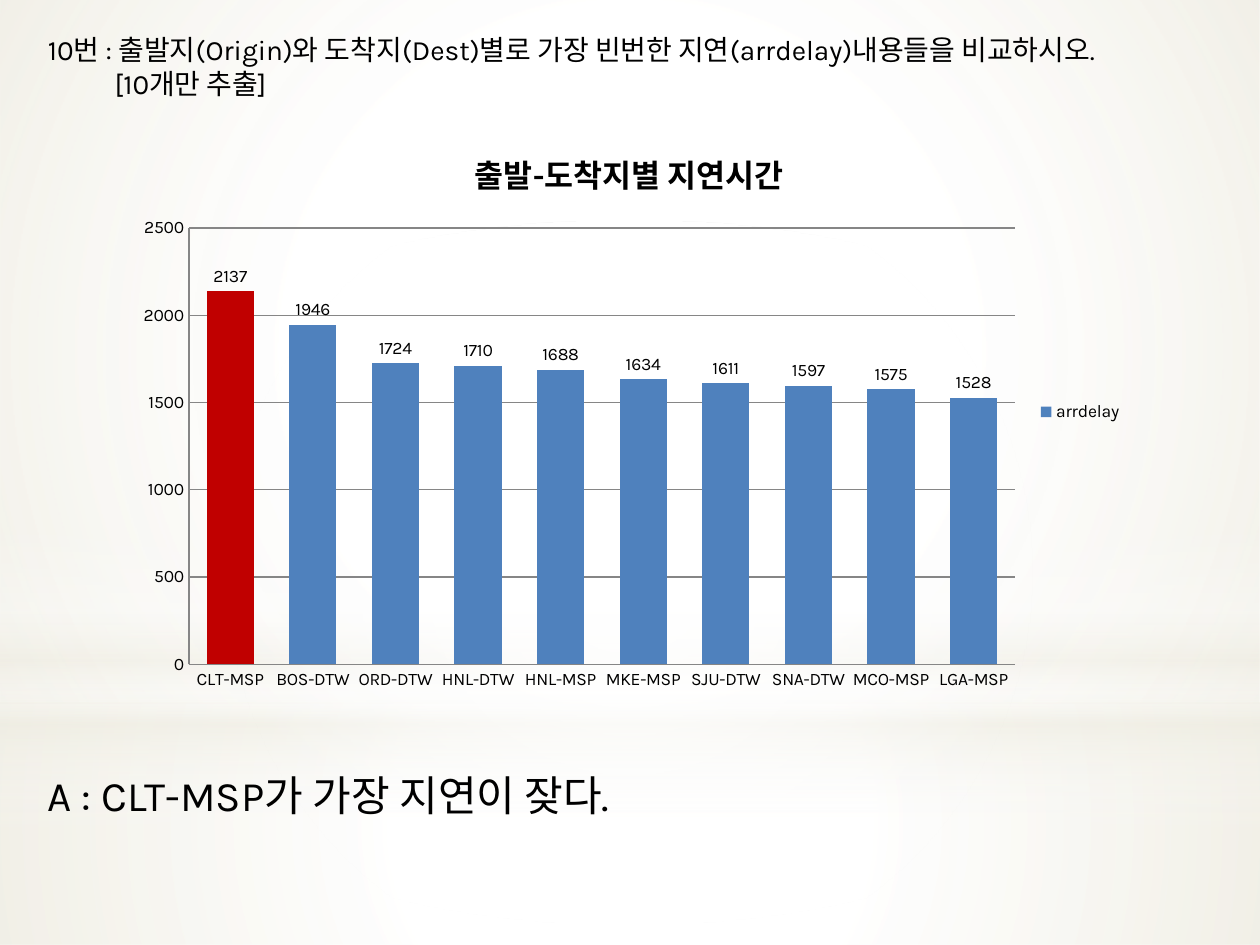
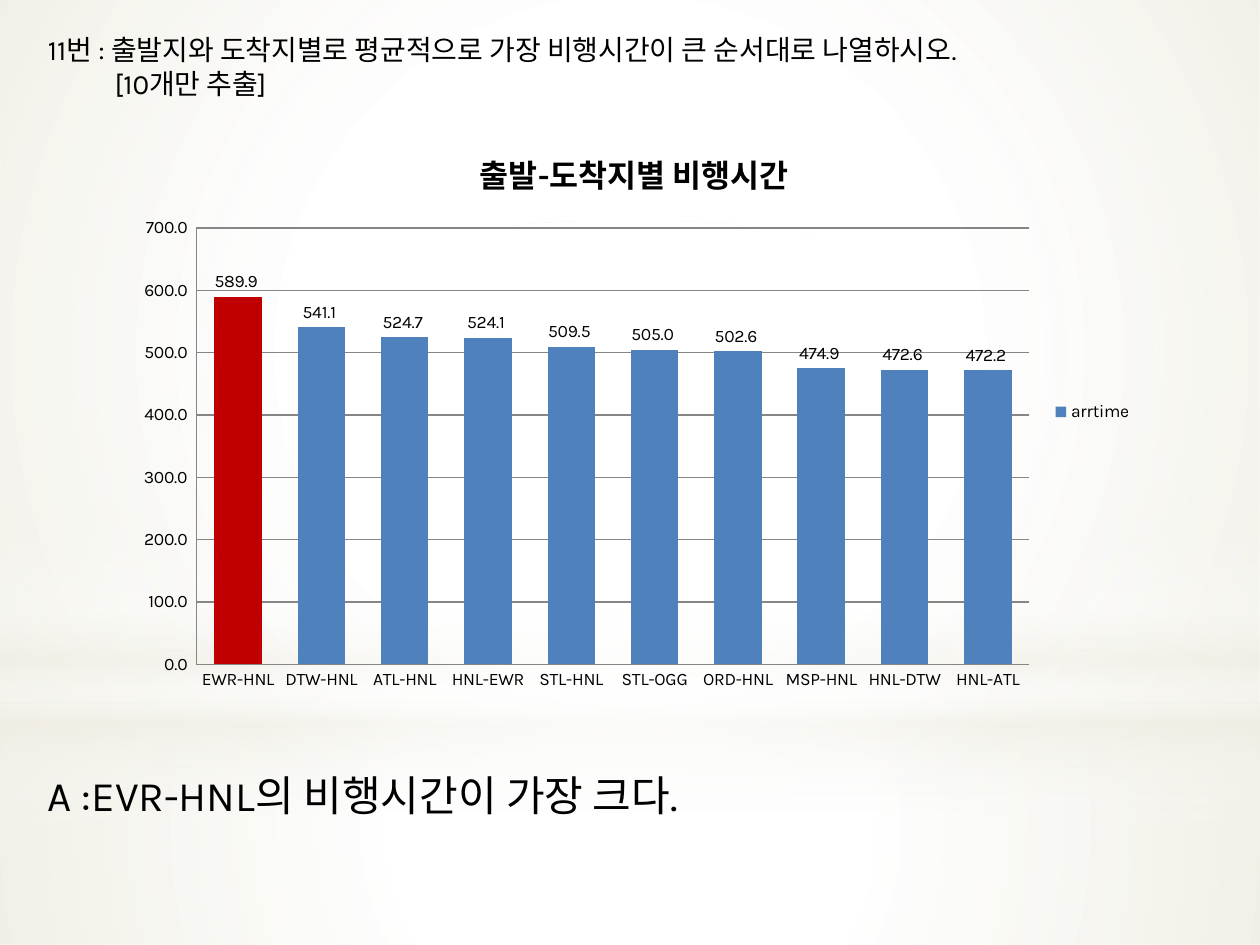
from pptx import Presentation
from pptx.chart.data import CategoryChartData
from pptx.dml.color import RGBColor
from pptx.enum.chart import XL_CHART_TYPE as ChartType
from pptx.enum.chart import XL_LABEL_POSITION as LabelPosition
from pptx.enum.chart import XL_LEGEND_POSITION as LegendPosition
from pptx.enum.chart import XL_TICK_MARK as TickMark
from pptx.enum.shapes import MSO_SHAPE as Preset
from pptx.enum.text import MSO_ANCHOR as Anchor
from pptx.enum.text import MSO_AUTO_SIZE as AutoSize
from pptx.enum.text import PP_ALIGN as Align
from pptx.oxml import parse_xml
from pptx.oxml.ns import nsdecls, qn
from pptx.util import Inches, Pt

COLORS = {
    "text": "000000",
    "white": "FFFFFF",
    "cream": "EEECE1",
    "bar": "4F81BD",
    "highlight": "C00000",
    "grid": "868686",
}
FONT = "Karla"
MARGIN = 0.28
CIRCLE = (
    '<a:path path="circle">'
    '<a:fillToRect l="50000" t="50000" r="50000" b="50000"/></a:path>'
)
DOWNWARD = '<a:lin ang="5400000" scaled="0"/>'
BACKDROP = [
    (Preset.RECTANGLE, (0, 5.58, 10, 1.92), CIRCLE,
     [(0, "white", 91), (37, "white", 76), (100, "cream", 79)]),
    (Preset.RECTANGLE, (0, 0, 10, 5.58), CIRCLE,
     [(0, "white", 89), (48, "white", 62), (100, "cream", 79)]),
    (Preset.RECTANGLE, (0, 4.12, 10, 2.5), DOWNWARD,
     [(0, "white", 0), (29, "white", 30), (45, "cream", 40),
      (55, "white", 26), (65, "cream", 60), (100, "white", 0)]),
    (Preset.OVAL, (0, 1.75, 10, 5.58), CIRCLE,
     [(0, "white", 100), (56, "white", 0)]),
]


def color(name):
    return RGBColor.from_string(COLORS[name])


class QuizDeck:
    """Builds question pages that share one backdrop and text style."""

    def __init__(self):
        self.deck = Presentation()
        self.deck.slide_width = Inches(10)
        self.deck.slide_height = Inches(7.5)
        self.page = None

    def new_page(self):
        self.page = self.deck.slides.add_slide(self.deck.slide_layouts[5])
        if len(self.deck.slides) == 1:
            self.backdrop()

    def backdrop(self):
        tree = self.deck.slide_master.element.cSld.spTree
        for index, (preset, place, direction, stops) in enumerate(BACKDROP):
            shape = self.page.shapes.add_shape(preset, *map(Inches, place))
            shape.shadow.inherit = False
            shape.line.fill.background()
            self.gradient(shape, direction, stops)
            shape.element.nvSpPr.cNvPr.id = 100 + index
            tree.insert(2 + index, shape.element)

    def gradient(self, shape, direction, stops):
        shape.fill.gradient()
        marks = "".join(
            f'<a:gs pos="{position * 1000}"><a:srgbClr val="{COLORS[name]}">'
            f'<a:alpha val="{opacity * 1000}"/></a:srgbClr></a:gs>'
            for position, name, opacity in stops
        )
        properties = shape.element.spPr
        properties.replace(
            properties.find(qn("a:gradFill")),
            parse_xml(f'<a:gradFill {nsdecls("a")} rotWithShape="1">'
                      f'<a:gsLst>{marks}</a:gsLst>{direction}</a:gradFill>'),
        )

    def style(self, font, size, bold=False):
        font.name = FONT
        font.size = Pt(size)
        font.bold = bold
        font.color.rgb = color("text")

    def question(self, lines, width):
        title = self.page.shapes.title
        title.left, title.top = Inches(MARGIN), Inches(0.21)
        title.width, title.height = Inches(width), Inches(0.64)
        frame = title.text_frame
        frame.auto_size = AutoSize.NONE
        frame.vertical_anchor = Anchor.TOP
        frame.text = "\n".join(lines)
        for para in frame.paragraphs:
            para.alignment = Align.LEFT
            self.style(para.font, 16)
        frame.paragraphs[-1]._p.get_or_add_pPr().set("marL", str(Inches(0.53)))

    def answer(self, text, width):
        box = self.page.shapes.add_textbox(
            Inches(MARGIN), Inches(6.06), Inches(width), Inches(0.5))
        frame = box.text_frame
        frame.word_wrap = False
        frame.auto_size = AutoSize.SHAPE_TO_FIT_TEXT
        frame.text = text
        self.style(frame.paragraphs[0].font, 24)

    def column_chart(self, title, name, values, width, top, step, number_format):
        data = CategoryChartData(number_format=number_format)
        data.categories = list(values)
        data.add_series(name, list(values.values()))
        chart = self.page.shapes.add_chart(
            ChartType.COLUMN_CLUSTERED, Inches(0.98), Inches(0.98),
            Inches(width), Inches(4.58), data).chart
        self.style(chart.font, 10)

        chart.has_title = True
        heading = chart.chart_title.text_frame
        heading.text = title
        self.style(heading.paragraphs[0].font, 18, bold=True)
        chart.has_legend = True
        chart.legend.position = LegendPosition.RIGHT
        chart.legend.include_in_layout = False

        for axis in (chart.category_axis, chart.value_axis):
            axis.major_tick_mark = TickMark.NONE
            axis.minor_tick_mark = TickMark.NONE
            axis.format.line.color.rgb = color("grid")
        scale = chart.value_axis
        scale.minimum_scale, scale.maximum_scale = 0, top
        scale.major_unit = step
        scale.major_gridlines.format.line.color.rgb = color("grid")
        scale.tick_labels.number_format = number_format
        scale.tick_labels.number_format_is_linked = False

        plot = chart.plots[0]
        plot.gap_width = 75
        plot.vary_by_categories = False
        bars = plot.series[0]
        for target, fill_name in ((bars, "bar"), (bars.points[0], "highlight")):
            target.format.fill.solid()
            target.format.fill.fore_color.rgb = color(fill_name)
        labels = bars.data_labels
        labels.show_value = True
        labels.position = LabelPosition.OUTSIDE_END
        labels.number_format = number_format
        labels.number_format_is_linked = False

    def save(self):
        self.deck.save("out.pptx")


def main():
    quiz = QuizDeck()

    quiz.new_page()
    quiz.column_chart(
        "출발-도착지별 지연시간", "arrdelay",
        {"CLT-MSP": 2137, "BOS-DTW": 1946, "ORD-DTW": 1724, "HNL-DTW": 1710,
         "HNL-MSP": 1688, "MKE-MSP": 1634, "SJU-DTW": 1611, "SNA-DTW": 1597,
         "MCO-MSP": 1575, "LGA-MSP": 1528},
        width=8.03, top=2500, step=500, number_format="General")
    quiz.question(
        ["10번 : 출발지(Origin)와 도착지(Dest)별로 가장 빈번한 "
         "지연(arrdelay)내용들을 비교하시오.", "[10개만 추출]"], width=9.53)
    quiz.answer("A : CLT-MSP가 가장 지연이 잦다.", width=5.08)

    quiz.new_page()
    quiz.column_chart(
        "출발-도착지별 비행시간", "arrtime",
        {"EWR-HNL": 589.9, "DTW-HNL": 541.1, "ATL-HNL": 524.7, "HNL-EWR": 524.1,
         "STL-HNL": 509.5, "STL-OGG": 505, "ORD-HNL": 502.6, "MSP-HNL": 474.9,
         "HNL-DTW": 472.6, "HNL-ATL": 472.2},
        width=8.11, top=700, step=100, number_format="0.0_ ")
    quiz.question(
        ["11번 : 출발지와 도착지별로 평균적으로 가장 비행시간이 큰 "
         "순서대로 나열하시오.", "[10개만 추출]"], width=9.29)
    quiz.answer("A :EVR-HNL의 비행시간이 가장 크다.", width=5.71)

    quiz.save()


if __name__ == "__main__":
    main()
